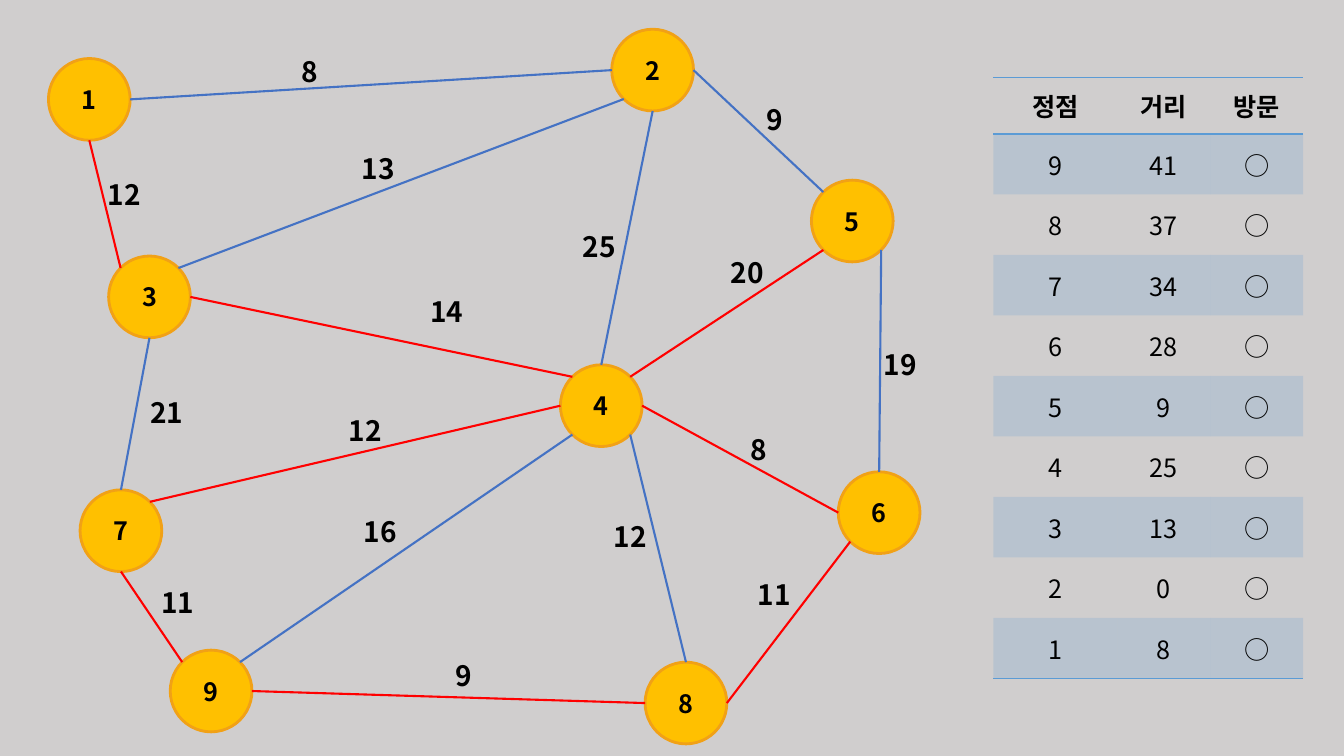
from dataclasses import dataclass
from math import sqrt

from lxml.etree import SubElement
from pptx import Presentation
from pptx.dml.color import RGBColor
from pptx.enum.shapes import MSO_CONNECTOR, MSO_SHAPE
from pptx.enum.text import MSO_ANCHOR, MSO_AUTO_SIZE, PP_ALIGN
from pptx.oxml.ns import qn
from pptx.util import Pt


@dataclass(frozen=True)
class Theme:
    font: str = "Noto Sans CJK KR"
    background: str = "D0CECE"
    text: str = "000000"
    node_fill: str = "FFC000"
    node_line: str = "F1A116"
    edge: str = "4472C4"
    tree_edge: str = "FF0000"
    table: str = "5B9BD5"
    body_size: int = 18
    weight_size: int = 20


THEME = Theme()
NODE_SIZE = 58.4
NO_TABLE_STYLE = "{2D5ABB26-0587-4C30-8999-92F81FD0307C}"

# Vertex: left, top
NODES = {
    1: (34.6, 41.8), 2: (437, 20.9), 3: (77.6, 182.9),
    4: (400.3, 260.6), 5: (579.6, 128.7), 6: (598.8, 337),
    7: (57.2, 349.9), 8: (460.8, 473), 9: (121.6, 464.4),
}

# Connection site of an ellipse: index, direction from the centre
D = sqrt(0.5)
SITES = {
    "T": (0, 0, -1), "TL": (1, -D, -D), "L": (2, -1, 0), "BL": (3, -D, D),
    "B": (4, 0, 1), "BR": (5, D, D), "R": (6, 1, 0), "TR": (7, D, -D),
}

# From vertex and site, to vertex and site, on the tree, weight, label left and top
EDGES = [
    (1, "R", 2, "L", False, 8, 208, 35.3),
    (1, "B", 3, "TL", True, 12, 69.8, 123.1),
    (8, "T", 4, "BR", False, 12, 431.3, 367.2),
    (2, "B", 4, "T", False, 25, 409, 160.6),
    (4, "BL", 9, "TR", False, 16, 252.7, 363.6),
    (7, "T", 3, "B", False, 21, 100.1, 278.6),
    (5, "TL", 2, "R", False, 9, 540.7, 69.8),
    (3, "R", 4, "TL", True, 14, 300.2, 206.6),
    (3, "TR", 2, "BL", False, 13, 251.3, 104.4),
    (7, "TR", 4, "L", True, 12, 241.9, 291.6),
    (4, "R", 6, "L", True, 8, 529.2, 305.3),
    (5, "BL", 4, "TR", True, 20, 514.8, 179.3),
    (5, "BR", 6, "T", False, 19, 624.2, 244.8),
    (8, "R", 6, "BL", True, 11, 534.2, 409),
    (7, "B", 9, "TL", True, 11, 108, 414.7),
    (9, "R", 8, "L", True, 9, 318.2, 466.6),
]

HEADER = ("정점", "거리", "방문")
DISTANCES = {9: 41, 8: 37, 7: 34, 6: 28, 5: 9, 4: 25, 3: 13, 2: 0, 1: 8}


def rgb(color):
    return RGBColor.from_string(color)


def write(tf, text, size, bold, align=PP_ALIGN.CENTER):
    p = tf.paragraphs[0]
    p.text = str(text)
    p.alignment = align
    p.font.size = Pt(size)
    p.font.bold = bold
    p.font.color.rgb = rgb(THEME.text)
    p.font.name = THEME.font
    # Hangul and symbols take the East Asian font
    font = p._p.find(qn("a:pPr")).find(qn("a:defRPr"))
    SubElement(font, qn("a:ea"), typeface=THEME.font)


def add_node(s, number):
    left, top = NODES[number]
    sp = s.shapes.add_shape(MSO_SHAPE.OVAL, Pt(left), Pt(top),
                            Pt(NODE_SIZE), Pt(NODE_SIZE))
    sp.shadow.inherit = False
    sp.fill.solid()
    sp.fill.fore_color.rgb = rgb(THEME.node_fill)
    sp.line.color.rgb = rgb(THEME.node_line)
    sp.line.width = Pt(2)
    sp.text_frame.vertical_anchor = MSO_ANCHOR.MIDDLE
    write(sp.text_frame, number, THEME.body_size, True)
    return sp


def site_point(number, site):
    r = NODE_SIZE / 2
    _, dx, dy = SITES[site]
    return [Pt(start + r + r * d) for start, d in zip(NODES[number], (dx, dy))]


def add_edge(s, nodes, begin, begin_site, end, end_site, on_tree):
    cxn = s.shapes.add_connector(MSO_CONNECTOR.STRAIGHT,
                                 *site_point(begin, begin_site),
                                 *site_point(end, end_site))
    cxn.line.color.rgb = rgb(THEME.tree_edge if on_tree else THEME.edge)
    cxn.line.width = Pt(1.5)
    SubElement(cxn._element.spPr, qn("a:effectLst"))
    # begin_connect knows only four sites; an ellipse has eight
    joints = cxn._element.find(".//" + qn("p:cNvCxnSpPr"))
    for tag, number, site in (("a:stCxn", begin, begin_site),
                              ("a:endCxn", end, end_site)):
        SubElement(joints, qn(tag), id=str(nodes[number].shape_id),
                   idx=str(SITES[site][0]))


def add_weight(s, weight, left, top):
    width = 25.9 if weight < 10 else 38.2
    tf = s.shapes.add_textbox(Pt(left), Pt(top), Pt(width), Pt(31.5)).text_frame
    tf.word_wrap = False
    tf.auto_size = MSO_AUTO_SIZE.SHAPE_TO_FIT_TEXT
    write(tf, weight, THEME.weight_size, True, PP_ALIGN.LEFT)


def add_border(cell, tag):
    ln = SubElement(cell._tc.get_or_add_tcPr(), qn(tag), w=str(Pt(1)))
    fill = SubElement(ln, qn("a:solidFill"))
    SubElement(fill, qn("a:srgbClr"), val=THEME.table)


def fill_cell(cell, banded):
    if not banded:
        cell.fill.background()
        return
    cell.fill.solid()
    cell.fill.fore_color.rgb = rgb(THEME.table)
    color = cell._tc.tcPr.find(".//" + qn("a:srgbClr") + "[last()]")
    color = cell._tc.tcPr.find(qn("a:solidFill")).find(qn("a:srgbClr"))
    SubElement(color, qn("a:alpha"), val="20000")


def add_distance_table(s):
    rows = [HEADER] + [(v, d, "○") for v, d in DISTANCES.items()]
    widths = (88.6, 66.3, 66.3)
    heights = [40.3] + [43.2] * len(DISTANCES)
    frame = s.shapes.add_table(len(rows), len(HEADER), Pt(709.6), Pt(55.4),
                               Pt(sum(widths)), Pt(sum(heights)))
    table = frame.table
    table.first_row = table.horz_banding = False
    table._tbl.tblPr.find(qn("a:tableStyleId")).text = NO_TABLE_STYLE
    for column, width in zip(table.columns, widths):
        column.width = Pt(width)
    for i, values in enumerate(rows):
        table.rows[i].height = Pt(heights[i])
        for j, value in enumerate(values):
            cell = table.cell(i, j)
            cell.vertical_anchor = MSO_ANCHOR.MIDDLE
            write(cell.text_frame, value, THEME.body_size, i == 0)
            if i == 0:
                add_border(cell, "a:lnT")
            if i in (0, len(rows) - 1):
                add_border(cell, "a:lnB")
            fill_cell(cell, i % 2 == 1)


def main():
    prs = Presentation()
    prs.slide_width, prs.slide_height = Pt(960), Pt(540)
    s = prs.slides.add_slide(prs.slide_layouts[6])
    s.background.fill.solid()
    s.background.fill.fore_color.rgb = rgb(THEME.background)

    # Distance table
    add_distance_table(s)

    # Weighted graph
    nodes = {number: add_node(s, number) for number in NODES}
    for *ends, weight, left, top in EDGES:
        add_edge(s, nodes, *ends)
        add_weight(s, weight, left, top)

    prs.save("out.pptx")


if __name__ == "__main__":
    main()
